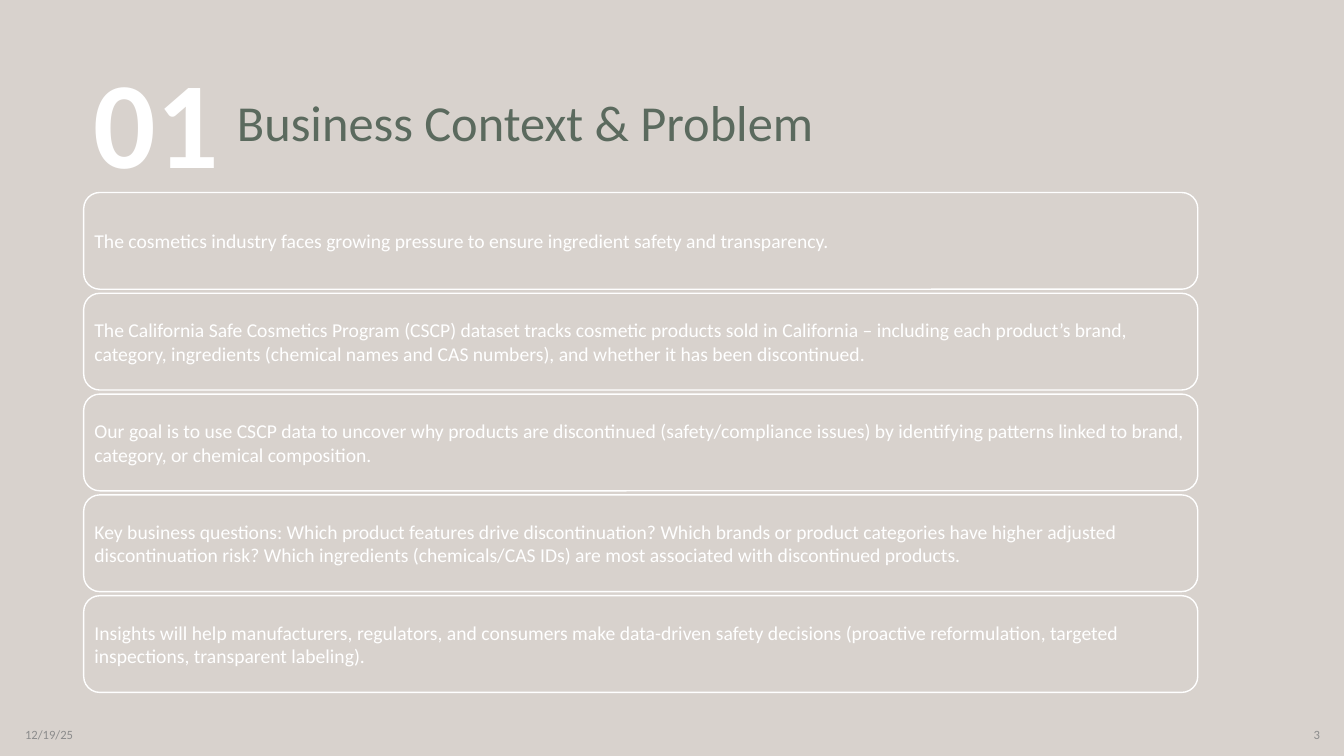
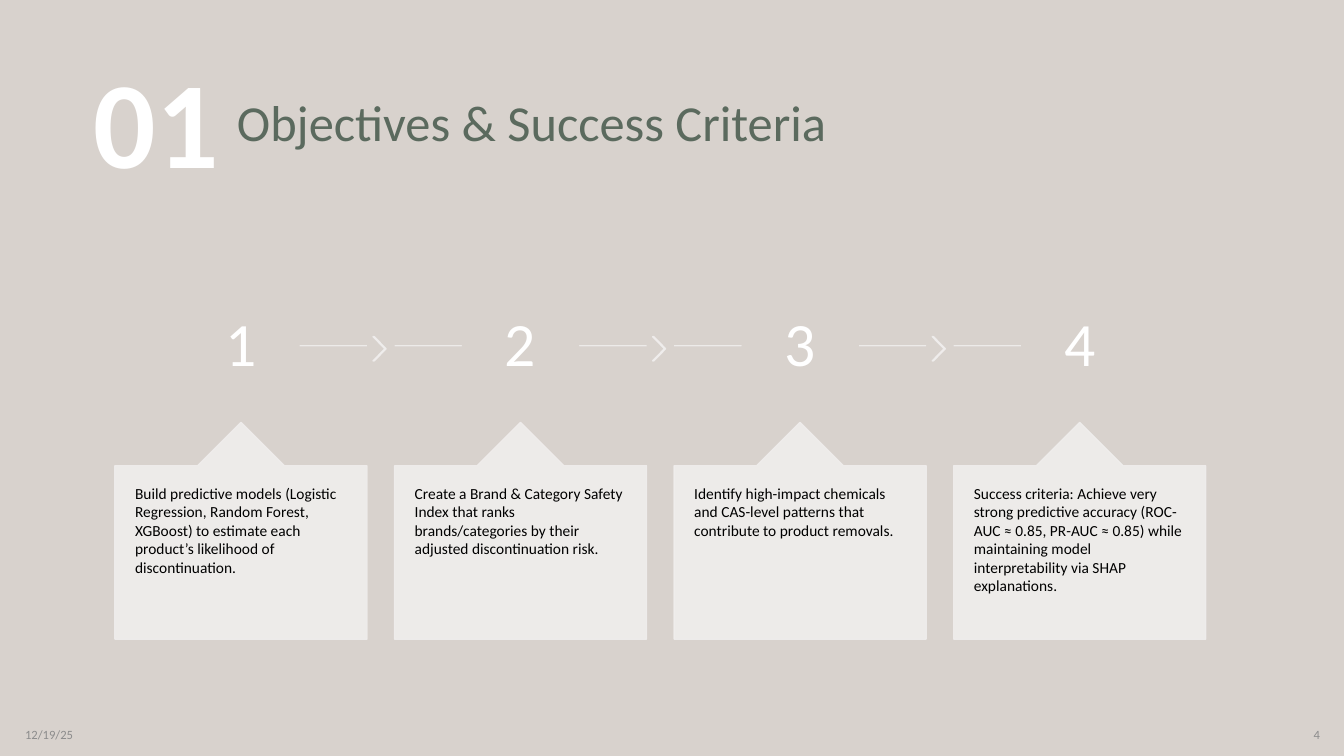
import pptx
import pptx.dml.color
import pptx.enum.shapes
import pptx.enum.text
import pptx.oxml.ns
import pptx.util
from lxml import etree

Inches, Pt = pptx.util.Inches, pptx.util.Pt
RGBColor = pptx.dml.color.RGBColor
SHAPE = pptx.enum.shapes.MSO_SHAPE
ALIGN = pptx.enum.text.PP_ALIGN
ANCHOR = pptx.enum.text.MSO_ANCHOR
qn = pptx.oxml.ns.qn

FONT = "Calibri"
SAND = RGBColor(0xD8, 0xD2, 0xCD)
MIST = RGBColor(0xF0, 0xEE, 0xED)
SAGE = RGBColor(0x5B, 0x6A, 0x5E)
GREY = RGBColor(0x8C, 0x8C, 0x8C)
WHITE = RGBColor(0xFF, 0xFF, 0xFF)
BLACK = RGBColor(0x00, 0x00, 0x00)


def write(box, text, size, color, bold=False, align=ALIGN.LEFT, anchor=ANCHOR.MIDDLE,
          inset=(0.1, 0.05), line_spacing=1.0, space_before=0):
    """Fill a shape with one paragraph; inset is (horizontal, vertical) in inches."""
    frame = box.text_frame
    frame.word_wrap = True
    frame.auto_size = pptx.enum.text.MSO_AUTO_SIZE.NONE
    frame.vertical_anchor = anchor
    frame.margin_left = frame.margin_right = Inches(inset[0])
    frame.margin_top = frame.margin_bottom = Inches(inset[1])
    para = frame.paragraphs[0]
    para.alignment = align
    para.line_spacing = line_spacing
    para.space_before = Pt(space_before)
    span = para.add_run()
    span.text = text
    span.font.name = FONT
    span.font.size = Pt(size)
    span.font.bold = bold
    span.font.color.rgb = color


def paint(shape, line, fill=None, opacity=100):
    """Set line and fill, drop the shadow and apply the opacity to both colours."""
    shape.line.color.rgb = line
    shape.line.width = Pt(1)
    if fill is None:
        etree.SubElement(shape._element.spPr, qn("a:effectLst"))
    else:
        shape.fill.solid()
        shape.fill.fore_color.rgb = fill
        shape.shadow.inherit = False
    if opacity < 100:
        for color in shape._element.spPr.iter(qn("a:srgbClr")):
            etree.SubElement(color, qn("a:alpha"), val=str(opacity * 1000))


deck = pptx.Presentation()
deck.slide_width, deck.slide_height = Inches(13.33), Inches(7.5)
background = deck.slide_master.background.fill
background.solid()
background.fore_color.rgb = SAND

# Shared title, section number and footer
pages = []
for page_number, heading in ((3, "Business Context & Problem"),
                             (4, "Objectives & Success Criteria")):
    page = deck.slides.add_slide(deck.slide_layouts[1])
    pages.append(page)

    section = page.placeholders[1]
    section.left, section.top = Inches(0.83), Inches(0.57)
    section.width, section.height = Inches(3.23), Inches(1.46)
    write(section, "01", 88, WHITE, bold=True, anchor=ANCHOR.TOP,
          line_spacing=0.9, space_before=10)
    section_format = section.text_frame.paragraphs[0]._p.get_or_add_pPr()
    section_format.set("marL", "0")
    section_format.set("indent", "0")
    etree.SubElement(section_format, qn("a:buNone"))

    title = page.shapes.title
    title.left, title.top = Inches(2.25), Inches(0.51)
    title.width, title.height = Inches(9.3), Inches(1.47)
    write(title, heading, 36, SAGE, line_spacing=0.9)

    for left, text, align in ((0.15, "12/19/25", ALIGN.LEFT),
                              (10.19, str(page_number), ALIGN.RIGHT)):
        footer = page.shapes.add_textbox(Inches(left), Inches(7.09), Inches(3), Inches(0.4))
        write(footer, text, 9, GREY, align=align)

context_page, objectives_page = pages

# Business context: a stack of outlined statements
statements = (
    "The cosmetics industry faces growing pressure to ensure ingredient safety and transparency.",
    "The California Safe Cosmetics Program (CSCP) dataset tracks cosmetic products sold in "
    "California – including each product’s brand, category, ingredients (chemical names and "
    "CAS numbers), and whether it has been discontinued.",
    "Our goal is to use CSCP data to uncover why products are discontinued (safety/compliance "
    "issues) by identifying patterns linked to brand, category, or chemical composition.",
    "Key business questions: Which product features drive discontinuation? Which brands or "
    "product categories have higher adjusted discontinuation risk? Which ingredients "
    "(chemicals/CAS IDs) are most associated with discontinued products.",
    "Insights will help manufacturers, regulators, and consumers make data-driven safety "
    "decisions (proactive reformulation, targeted inspections, transparent labeling).",
)
for row, statement in enumerate(statements):
    box = context_page.shapes.add_shape(SHAPE.ROUNDED_RECTANGLE, Inches(0.83),
                                        Inches(1.91 + row), Inches(11.05), Inches(0.96))
    paint(box, WHITE, SAND)
    write(box, statement, 14, WHITE, inset=(0.06, 0.06))

# Objectives: numbered steps joined by lines and chevrons above callouts
objectives = (
    "Build predictive models (Logistic Regression, Random Forest, XGBoost) to estimate each "
    "product’s likelihood of discontinuation.",
    "Create a Brand & Category Safety Index that ranks brands/categories by their adjusted "
    "discontinuation risk.",
    "Identify high-impact chemicals and CAS-level patterns that contribute to product removals.",
    "Success criteria: Achieve very strong predictive accuracy (ROC-AUC ≈ 0.85, PR-AUC ≈ 0.85) "
    "while maintaining model interpretability via SHAP explanations.",
)
CARD_LEFT, CARD_WIDTH, CARD_PITCH = 1.14, 2.5, 2.773
CIRCLE = 1.15
LINE_TOP = 3.43
shapes = objectives_page.shapes
for step, objective in enumerate(objectives):
    left = CARD_LEFT + step * CARD_PITCH
    right = left + CARD_WIDTH
    center = left + CARD_WIDTH / 2
    is_first, is_last = step == 0, step == len(objectives) - 1

    track = shapes.add_connector(pptx.enum.shapes.MSO_CONNECTOR.STRAIGHT,
                                 Inches(center if is_first else left), Inches(LINE_TOP),
                                 Inches(center if is_last else right), Inches(LINE_TOP))
    paint(track, MIST, opacity=90)

    if not is_last:
        chevron = shapes.add_shape(SHAPE.CHEVRON, Inches(right + 0.06), Inches(3.34),
                                   Inches(0.13), Inches(0.24))
        chevron.adjustments[0] = 0.9
        paint(chevron, MIST, MIST, opacity=90)

    circle = shapes.add_shape(SHAPE.OVAL, Inches(center - CIRCLE / 2), Inches(2.86),
                              Inches(CIRCLE), Inches(CIRCLE))
    paint(circle, SAND, SAND)
    write(circle, str(step + 1), 44, WHITE, align=ALIGN.CENTER, inset=(0.04, 0.04),
          line_spacing=0.9)

    card = shapes.add_shape(SHAPE.UP_ARROW_CALLOUT, Inches(left), Inches(4.19),
                            Inches(CARD_WIDTH), Inches(2.15))
    for index, value in enumerate((0.5, 0.2, 0.2, 1)):
        card.adjustments[index] = value
    paint(card, MIST, MIST, opacity=90)
    write(card, objective, 11, BLACK, anchor=ANCHOR.TOP, inset=(0.2, 0.18))

deck.save("out.pptx")
